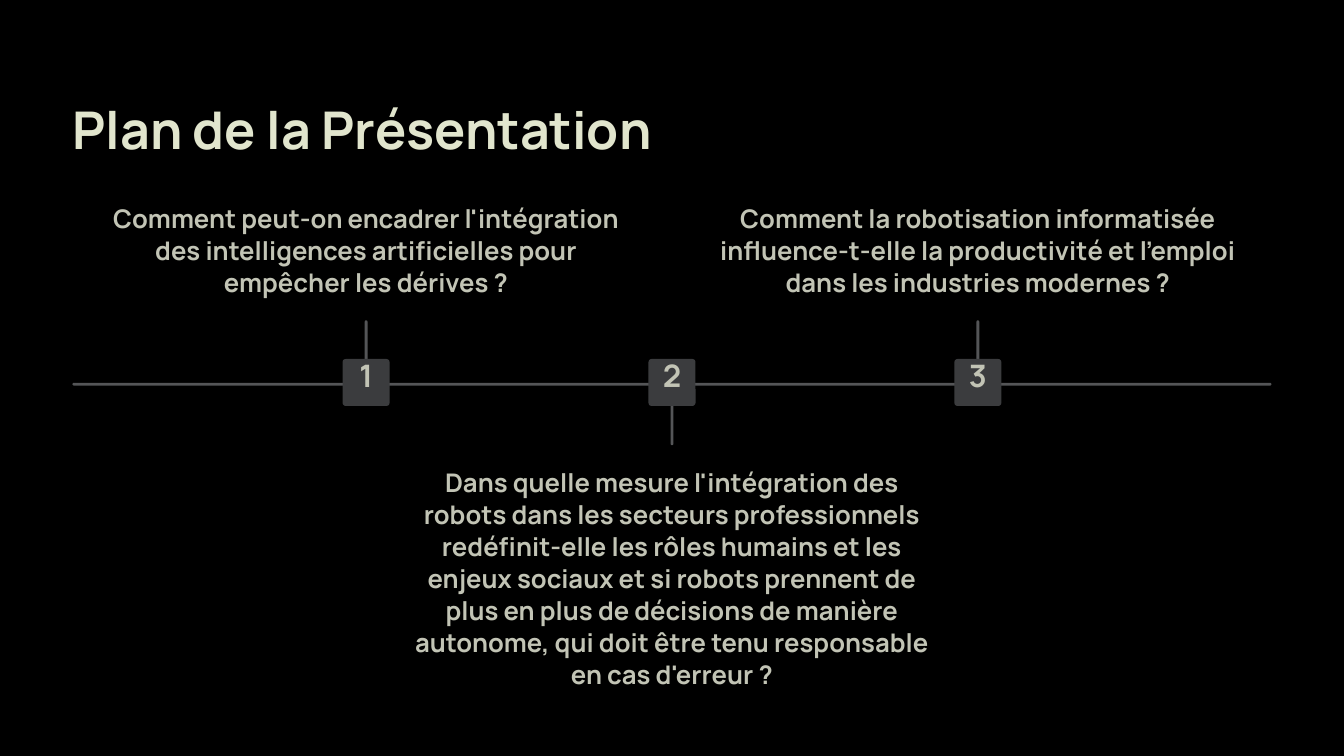
from pptx import Presentation
from pptx.dml.color import RGBColor
from pptx.enum.shapes import MSO_SHAPE
from pptx.enum.text import MSO_ANCHOR, PP_ALIGN
from pptx.util import Pt

COLORS = {
    "background": "000000",
    "title": "E1E5CD",
    "text": "C2C4B5",
    "line": "545557",
    "badge": "3B3C3E",
}
FONT = "Manrope"

SLIDE_WIDTH, SLIDE_HEIGHT = 960, 540
MARGIN = 51.8
AXIS_TOP = 273.4
LINE_WIDTH = 2
STEM_LENGTH = 44.6
BADGE_SIZE = 33.6
STEP_GAP = 218.5

# Each step: question, whether it sits above the axis, size of its text box
STEPS = [
    ("Comment peut-on encadrer l'intégration des intelligences artificielles "
     "pour empêcher les dérives ?", True, 388.8, 69.9),
    ("Dans quelle mesure l'intégration des robots dans les secteurs "
     "professionnels redéfinit-elle les rôles humains et les enjeux sociaux "
     "et si robots prennent de plus en plus de décisions de manière autonome, "
     "qui doit être tenu responsable en cas d'erreur ?", False, 376, 160.3),
    ("Comment la robotisation informatisée influence-t-elle la productivité "
     "et l’emploi dans les industries modernes ?", True, 388.8, 69.9),
]


def write_text(text_frame, text, *, size, color, spacing,
               align=PP_ALIGN.CENTER):
    text_frame.margin_left = text_frame.margin_right = 0
    text_frame.margin_top = text_frame.margin_bottom = 0
    text_frame.vertical_anchor = MSO_ANCHOR.TOP
    text_frame.word_wrap = True
    paragraph = text_frame.paragraphs[0]
    paragraph.alignment = align
    paragraph.line_spacing = Pt(spacing)
    run = paragraph.add_run()
    run.text = text
    run.font.name = FONT
    run.font.size = Pt(size)
    run.font.bold = True
    run.font.color.rgb = RGBColor.from_string(COLORS[color])


class TimelineSlide:
    def __init__(self, presentation):
        self.slide = presentation.slides.add_slide(presentation.slide_layouts[6])
        fill = self.slide.background.fill
        fill.solid()
        fill.fore_color.rgb = RGBColor.from_string(COLORS["background"])

    def text(self, left, top, width, height, text, **text_format):
        shape = self.slide.shapes.add_textbox(Pt(left), Pt(top), Pt(width), Pt(height))
        write_text(shape.text_frame, text, **text_format)

    def bar(self, left, top, width, height, color="line", rounding=0.5):
        shape = self.slide.shapes.add_shape(
            MSO_SHAPE.ROUNDED_RECTANGLE, Pt(left), Pt(top), Pt(width), Pt(height))
        shape.adjustments[0] = rounding
        shape.shadow.inherit = False
        shape.fill.solid()
        shape.fill.fore_color.rgb = RGBColor.from_string(COLORS[color])
        shape.line.fill.background()

    def step(self, number, center, question, above, width, height):
        # Stem and numbered badge
        stem_top = AXIS_TOP - STEM_LENGTH if above else AXIS_TOP
        self.bar(center - LINE_WIDTH / 2, stem_top, LINE_WIDTH, STEM_LENGTH)
        self.bar(center - BADGE_SIZE / 2, 256.4, BADGE_SIZE, BADGE_SIZE,
                 color="badge", rounding=0.067)
        self.text(center - 11.15, 259.2, 22.3, 28.1, str(number),
                  size=22.1, color="text", spacing=22.1)
        # Question
        self.text(center - width / 2, 144 if above else 332.6,
                  width, height, question,
                  size=18.3, color="text", spacing=22.9)


def main():
    presentation = Presentation()
    presentation.slide_width = Pt(SLIDE_WIDTH)
    presentation.slide_height = Pt(SLIDE_HEIGHT)
    timeline = TimelineSlide(presentation)

    # Title
    timeline.text(MARGIN, 67.7, 430, 46.8, "Plan de la Présentation",
                  size=37.1, color="title", spacing=46.2, align=PP_ALIGN.LEFT)

    # Axis and steps, spread evenly around the middle of the slide
    timeline.bar(MARGIN, AXIS_TOP, SLIDE_WIDTH - 2 * MARGIN, LINE_WIDTH)
    for number, (question, above, width, height) in enumerate(STEPS, start=1):
        center = SLIDE_WIDTH / 2 + (number - 2) * STEP_GAP
        timeline.step(number, center, question, above, width, height)

    presentation.save("out.pptx")


if __name__ == "__main__":
    main()
